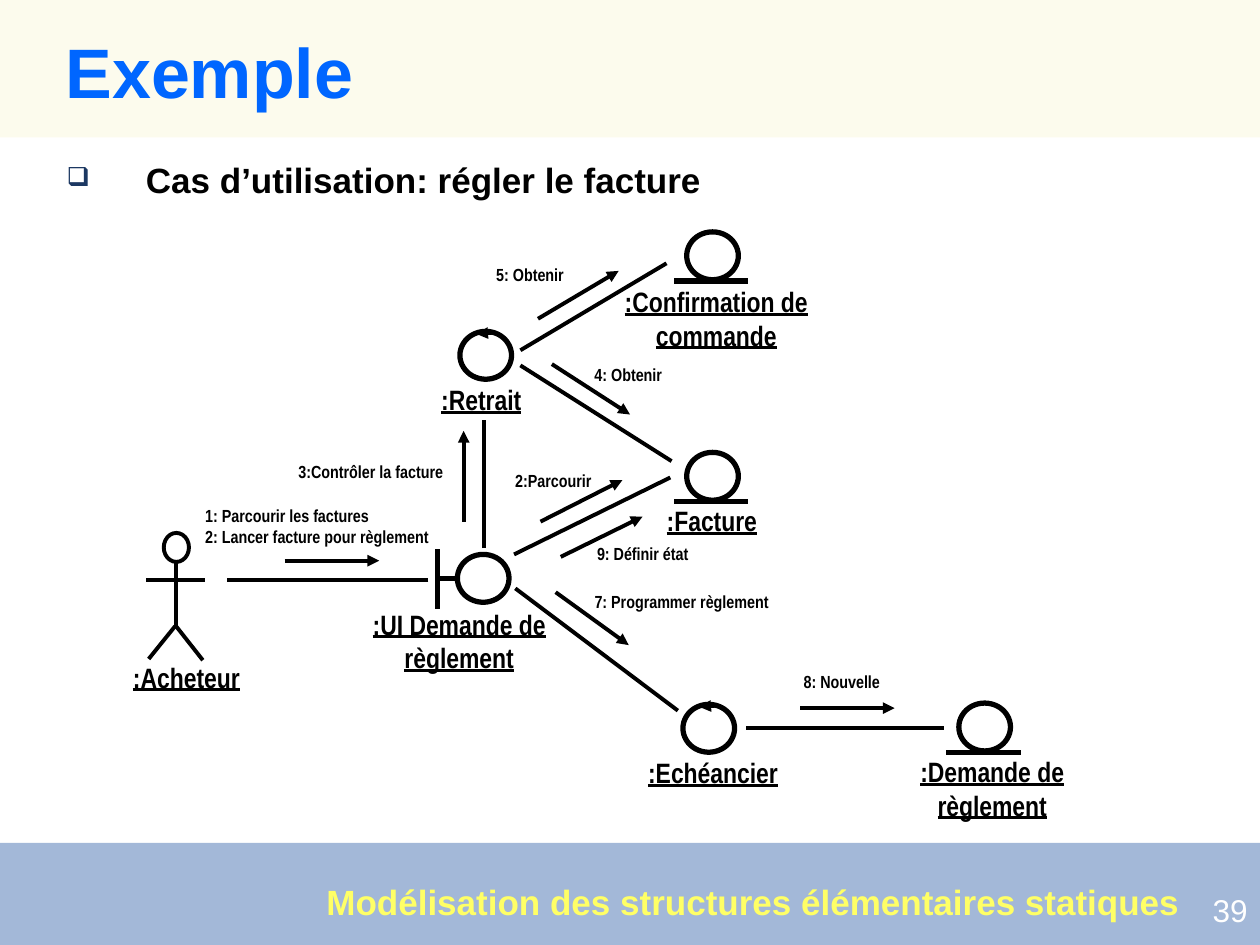
from dataclasses import dataclass
from enum import Enum

from lxml.etree import SubElement
from pptx import Presentation
from pptx.dml.color import RGBColor
from pptx.enum.shapes import MSO_CONNECTOR as Connector, MSO_SHAPE as Preset
from pptx.enum.text import MSO_ANCHOR as Anchor, MSO_AUTO_SIZE as AutoSize, PP_ALIGN as Align
from pptx.oxml.ns import qn
from pptx.slide import Slide
from pptx.util import Inches, Pt


@dataclass(frozen=True)
class Theme:
    ink: str = "000000"
    paper: str = "FFFFFF"
    title: str = "0066FF"
    footer: str = "FFFF66"
    bullet: str = "1C3862"
    top_band: str = "FAF8D8"
    bottom_band: str = "3363A9"
    band_alpha: int = 45
    font: str = "Arial"
    narrow: str = "Arial Narrow"
    title_size: int = 40
    body_size: int = 20
    number_size: int = 18
    name_size: int = 16
    message_size: int = 10
    symbol_line: float = 3
    line: float = 2.25


THEME = Theme()


class Role(Enum):
    ENTITY = "entity"
    CONTROL = "control"
    BOUNDARY = "boundary"


@dataclass(frozen=True)
class Box:
    left: float
    top: float
    width: float
    height: float

    def lengths(self) -> list:
        return [Inches(v) for v in (self.left, self.top, self.width, self.height)]


@dataclass(frozen=True)
class Stroke:
    x1: float
    y1: float
    x2: float
    y2: float
    arrow: bool = False
    width: float = THEME.line

    def moved(self, dx: float, dy: float) -> "Stroke":
        return Stroke(self.x1 + dx, self.y1 + dy, self.x2 + dx, self.y2 + dy, self.arrow, self.width)


@dataclass(frozen=True)
class Node:
    left: float
    top: float
    role: Role


@dataclass(frozen=True)
class Style:
    size: int
    color: str = THEME.ink
    font: str = THEME.font
    bold: bool = True
    underline: bool = False
    align: Align = Align.LEFT
    before: int = 0


NAME = Style(THEME.name_size, font=THEME.narrow, underline=True, align=Align.CENTER, before=10)
MESSAGE = Style(THEME.message_size, font=THEME.narrow, before=6)

ROLE_STROKES = {
    Role.ENTITY: [Stroke(-0.1, 0.39, 0.49, 0.39, width=THEME.symbol_line)],
    Role.CONTROL: [Stroke(0.27, 0.01, 0.13, 0.02, arrow=True)],
    Role.BOUNDARY: [
        Stroke(-0.16, 0.43, -0.16, -0.04, width=THEME.symbol_line),
        Stroke(0, 0.19, -0.15, 0.19, width=THEME.symbol_line),
    ],
}
NODES = [
    Node(3.63, 4.4, Role.BOUNDARY),
    Node(3.65, 2.63, Role.CONTROL),
    Node(5.45, 3.59, Role.ENTITY),
    Node(5.45, 1.84, Role.ENTITY),
    Node(5.42, 5.59, Role.CONTROL),
    Node(7.61, 5.58, Role.ENTITY),
]
ACTOR_LIMBS = [
    Stroke(1.4, 4.46, 1.4, 4.98),
    Stroke(1.16, 4.6, 1.63, 4.6),
    Stroke(1.39, 4.97, 1.18, 5.23),
    Stroke(1.61, 5.24, 1.39, 4.96),
]
LINKS = [
    Stroke(3.4, 4.6, 1.8, 4.6),
    Stroke(3.84, 4.35, 3.84, 3.33),
    Stroke(5.33, 3.66, 4.13, 2.9),
    Stroke(5.29, 2.09, 4.13, 2.78),
    Stroke(5.38, 5.64, 4.09, 4.67),
    Stroke(7.49, 5.78, 5.92, 5.78),
    Stroke(5.32, 3.79, 4.08, 4.4),
]
MESSAGE_ARROWS = [
    Stroke(2.26, 4.45, 3.01, 4.45, True),
    Stroke(3.68, 4.14, 3.68, 3.42, True),
    Stroke(6.35, 5.62, 7.1, 5.62, True),
    Stroke(4.41, 4.7, 4.99, 5.12, True),
    Stroke(4.45, 4.42, 5.1, 4.1, True),
    Stroke(4.27, 2.53, 4.91, 2.15, True),
    Stroke(4.38, 2.89, 5, 3.29, True),
    Stroke(4.29, 4.14, 4.94, 3.81, True),
]
NAMES = [
    (":Acheteur", Box(0.9, 5.19, 1.16, 0.37)),
    (":Retrait", Box(3.23, 2.99, 1.18, 0.37)),
    (":Facture", Box(5.06, 3.95, 1.18, 0.37)),
    (":Confirmation de commande", Box(4.84, 2.21, 1.69, 0.64)),
    (":Echéancier", Box(5.01, 5.95, 1.3, 0.37)),
    (":Demande de règlement", Box(7.19, 5.94, 1.37, 0.64)),
    (":UI Demande de règlement", Box(2.81, 4.77, 1.67, 0.64)),
]
MESSAGES = [
    ("1: Parcourir les factures\n2: Lancer facture pour règlement", Box(1.53, 3.96, 1.99, 0.43)),
    ("3:Contrôler la facture", Box(2.27, 3.61, 1.36, 0.27)),
    ("2:Parcourir", Box(3.99, 3.68, 0.86, 0.27)),
    ("4: Obtenir", Box(4.62, 2.84, 0.86, 0.27)),
    ("9: Définir état", Box(4.64, 4.26, 0.97, 0.27)),
    ("7: Programmer règlement", Box(4.62, 4.64, 1.68, 0.27)),
    ("8: Nouvelle", Box(6.28, 5.28, 0.97, 0.27)),
    ("5: Obtenir", Box(3.84, 2.05, 0.86, 0.27)),
]


def rgb(color: str) -> RGBColor:
    return RGBColor.from_string(color)


def write(frame, text: str, style: Style):
    frame.word_wrap = True
    frame.auto_size = AutoSize.NONE
    frame.vertical_anchor = Anchor.TOP
    paragraph = frame.paragraphs[0]
    paragraph.text = text
    paragraph.alignment = style.align
    paragraph.space_before = Pt(style.before)
    font = paragraph.font
    font.name, font.size, font.bold = style.font, Pt(style.size), style.bold
    font.underline = style.underline
    font.color.rgb = rgb(style.color)
    return paragraph


def add_text(slide: Slide, text: str, box: Box, style: Style):
    return write(slide.shapes.add_textbox(*box.lengths()).text_frame, text, style)


def add_band(slide: Slide, box: Box, color: str) -> None:
    band = slide.shapes.add_shape(Preset.RECTANGLE, *box.lengths())
    band.shadow.inherit = False
    band.line.fill.background()
    band.fill.solid()
    band.fill.fore_color.rgb = rgb(color)
    tint = band.fill._xPr.find(qn("a:solidFill"))[0]
    SubElement(tint, qn("a:alpha"), val=str(THEME.band_alpha * 1000))


def add_stroke(slide: Slide, stroke: Stroke) -> None:
    ends = [Inches(v) for v in (stroke.x1, stroke.y1, stroke.x2, stroke.y2)]
    connector = slide.shapes.add_connector(Connector.STRAIGHT, *ends)
    connector.line.color.rgb = rgb(THEME.ink)
    connector.line.width = Pt(stroke.width)
    if stroke.arrow:
        SubElement(connector.line._get_or_add_ln(), qn("a:tailEnd"), type="triangle")
    SubElement(connector._element.spPr, qn("a:effectLst"))


def add_circle(slide: Slide, box: Box, width: float, filled: bool) -> None:
    circle = slide.shapes.add_shape(Preset.OVAL, *box.lengths())
    circle.shadow.inherit = False
    circle.line.color.rgb = rgb(THEME.ink)
    circle.line.width = Pt(width)
    if filled:
        circle.fill.solid()
        circle.fill.fore_color.rgb = rgb(THEME.paper)
    else:
        circle.fill.background()


def add_node(slide: Slide, node: Node) -> None:
    add_circle(slide, Box(node.left, node.top, 0.41, 0.38), THEME.symbol_line, True)
    for stroke in ROLE_STROKES[node.role]:
        add_stroke(slide, stroke.moved(node.left, node.top))


def add_heading(slide: Slide) -> None:
    title = slide.shapes.title
    title.left, title.top, title.width, title.height = Box(0.42, 0.25, 9.37, 0.7).lengths()
    write(title.text_frame, "Exemple", Style(THEME.title_size, THEME.title)).line_spacing = 0.9
    use_case = add_text(slide, "Cas d’utilisation: régler le facture", Box(0.43, 1.25, 9.17, 0.4),
                        Style(THEME.body_size, before=7))
    use_case.line_spacing = 0.9
    props = use_case._p.get_or_add_pPr()
    props.set("marL", str(Inches(0.63)))
    props.set("indent", str(Inches(-0.63)))
    bullet = [SubElement(props, qn(tag)) for tag in ("a:buClr", "a:buSzPct", "a:buChar")]
    SubElement(bullet[0], qn("a:srgbClr"), val=THEME.bullet)
    bullet[1].set("val", "75000")
    bullet[2].set("char", "❑")
    props.append(props.find(qn("a:defRPr")))


def add_footer(slide: Slide) -> None:
    add_text(slide, "39", Box(9.02, 7.02, 0.98, 0.4),
             Style(THEME.number_size, THEME.paper, bold=False, align=Align.RIGHT, before=11))
    course = slide.shapes.add_textbox(*Box(2.59, 6.99, 6.78, 0.33).lengths()).text_frame
    write(course, "Modélisation des structures élémentaires statiques", Style(THEME.body_size, THEME.footer))
    course.word_wrap = False
    course.margin_left = course.margin_top = course.margin_right = course.margin_bottom = 0


def main() -> None:
    deck = Presentation()
    deck.slide_width, deck.slide_height = Inches(10), Inches(7.5)
    slide = deck.slides.add_slide(deck.slide_layouts[5])
    add_band(slide, Box(0, 0, 10, 1.09), THEME.top_band)
    add_band(slide, Box(0, 6.69, 10, 0.81), THEME.bottom_band)
    add_heading(slide)
    for node in NODES:
        add_node(slide, node)
    add_circle(slide, Box(1.3, 4.23, 0.2, 0.23), THEME.line, False)
    for stroke in ACTOR_LIMBS + LINKS + MESSAGE_ARROWS:
        add_stroke(slide, stroke)
    for labels, style in ((NAMES, NAME), (MESSAGES, MESSAGE)):
        for text, box in labels:
            add_text(slide, text, box, style)
    add_footer(slide)
    title = slide.shapes.title._element
    title.getparent().append(title)
    deck.save("out.pptx")


if __name__ == "__main__":
    main()
